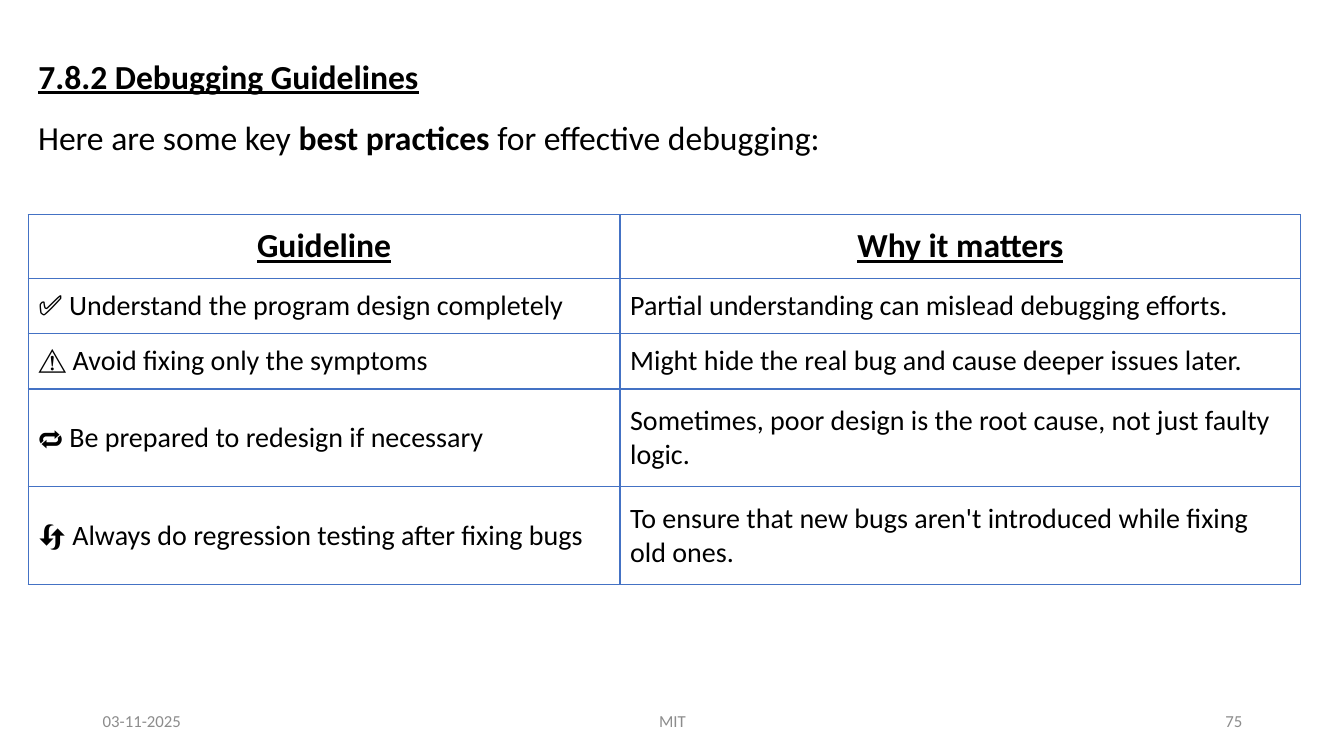
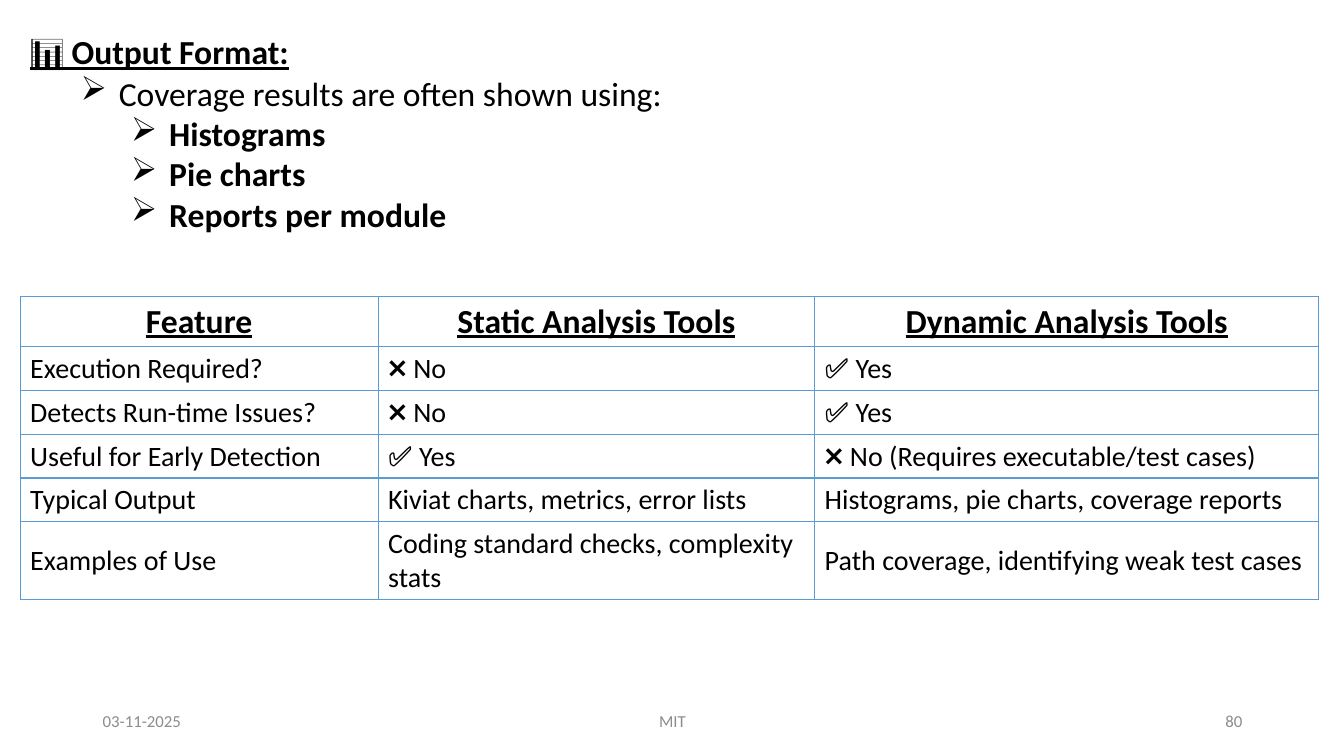
from dataclasses import dataclass

from pptx import Presentation
from pptx.dml.color import RGBColor
from pptx.enum.text import MSO_ANCHOR, MSO_AUTO_SIZE, PP_ALIGN
from pptx.oxml.xmlchemy import OxmlElement
from pptx.slide import Slide
from pptx.util import Inches, Pt


@dataclass(frozen=True)
class Theme:
    """Colours, font and type sizes shared by the slides."""
    font: str = "Calibri"
    ink: str = "000000"
    muted: str = "8C8C8C"
    heading_size: int = 24
    cell_size: int = 20
    footer_size: int = 12


THEME = Theme()
INSET = 0.05
BULLET = "➢"
BULLET_HANGING = 0.38


@dataclass(frozen=True)
class Box:
    """A rectangle in inches."""
    left: float
    top: float
    width: float
    height: float

    def lengths(self) -> tuple:
        """Return the rectangle as lengths."""
        return tuple(Inches(side) for side in (self.left, self.top, self.width, self.height))


@dataclass(frozen=True)
class Phrase:
    """A stretch of text, bold or regular."""
    text: str
    bold: bool = False


@dataclass(frozen=True)
class Line:
    """A paragraph made of phrases, bulleted when its level is above zero."""
    phrases: tuple[Phrase, ...]
    level: int = 0


@dataclass(frozen=True)
class Grid:
    """A bordered table whose first row is the header."""
    left: float
    top: float
    border: str
    columns: tuple[float, ...]
    rows: tuple[float, ...]
    cells: tuple[tuple[str, ...], ...]


@dataclass(frozen=True)
class Page:
    """The content of one slide."""
    number: int
    title: str
    title_box: Box
    body_height: float
    spacing: float
    lines: tuple[Line, ...]
    grid: Grid


def apply(target: object, **values: object) -> None:
    """Set each named attribute on the target."""
    for name, value in values.items():
        setattr(target, name, value)


def write(paragraph, text: str, size: int, color: str = THEME.ink, **values: object) -> None:
    """Add a formatted run to a paragraph."""
    run = paragraph.add_run()
    run.text = text
    apply(run.font, name=THEME.font, size=Pt(size), **values)
    run.font.color.rgb = RGBColor.from_string(color)


def add_bullet(paragraph, level: int) -> None:
    """Give a paragraph a hanging arrow bullet."""
    paragraph.level = level
    properties = paragraph._p.get_or_add_pPr()
    properties.set("marL", str(Inches(0.38 + 0.5 * level)))
    properties.set("indent", str(-Inches(BULLET_HANGING)))
    bullet = OxmlElement("a:buChar")
    bullet.set("char", BULLET)
    properties.append(bullet)


def draw_title(slide: Slide, page: Page) -> None:
    """Move and format the title placeholder."""
    title = slide.shapes.title
    left, top, width, height = page.title_box.lengths()
    apply(title, left=left, top=top, width=width, height=height)
    apply(title.text_frame, word_wrap=True, auto_size=MSO_AUTO_SIZE.NONE,
          vertical_anchor=MSO_ANCHOR.TOP, margin_top=Inches(INSET), margin_bottom=0)
    paragraph = title.text_frame.paragraphs[0]
    apply(paragraph, alignment=PP_ALIGN.JUSTIFY, line_spacing=page.spacing)
    write(paragraph, page.title, THEME.heading_size, bold=True, underline=True)


def draw_body(slide: Slide, page: Page) -> None:
    """Draw the lines directly below the title."""
    title = page.title_box
    box = Box(title.left, title.top + title.height, title.width, page.body_height)
    frame = slide.shapes.add_textbox(*box.lengths()).text_frame
    apply(frame, word_wrap=True, auto_size=MSO_AUTO_SIZE.SHAPE_TO_FIT_TEXT, margin_top=0)
    for index, line in enumerate(page.lines):
        paragraph = frame.add_paragraph() if index else frame.paragraphs[0]
        apply(paragraph, alignment=PP_ALIGN.JUSTIFY, line_spacing=page.spacing)
        if line.level:
            add_bullet(paragraph, line.level)
        for phrase in line.phrases:
            write(paragraph, phrase.text, THEME.heading_size, bold=phrase.bold)


def add_borders(cell, color: str) -> None:
    """Outline a table cell on all four sides."""
    properties = cell._tc.get_or_add_tcPr()
    for side in ("lnL", "lnR", "lnT", "lnB"):
        line = OxmlElement(f"a:{side}")
        line.set("w", str(Pt(1)))
        fill = OxmlElement("a:solidFill")
        value = OxmlElement("a:srgbClr")
        value.set("val", color)
        fill.append(value)
        line.append(fill)
        properties.append(line)


def draw_grid(slide: Slide, grid: Grid) -> None:
    """Draw a table with an underlined header row."""
    box = Box(grid.left, grid.top, sum(grid.columns), sum(grid.rows))
    table = slide.shapes.add_table(len(grid.rows), len(grid.columns), *box.lengths()).table
    apply(table, first_row=False, horz_banding=False)
    for column, width in zip(table.columns, grid.columns):
        column.width = Inches(width)
    for row_index, (row, height) in enumerate(zip(table.rows, grid.rows)):
        row.height = Inches(height)
        header = row_index == 0
        for cell, text in zip(row.cells, grid.cells[row_index]):
            add_borders(cell, grid.border)
            cell.fill.background()
            cell.vertical_anchor = MSO_ANCHOR.MIDDLE
            paragraph = cell.text_frame.paragraphs[0]
            paragraph.alignment = PP_ALIGN.CENTER if header else PP_ALIGN.LEFT
            size = THEME.heading_size if header else THEME.cell_size
            write(paragraph, text, size, bold=header, underline=header)


def draw_footer(slide: Slide, number: int) -> None:
    """Draw the date, the institution and the page number."""
    for text, left, width, alignment in (
        ("03-11-2025", 0.92, 3, PP_ALIGN.LEFT),
        ("MIT", 4.42, 4.5, PP_ALIGN.CENTER),
        (str(number), 9.42, 3, PP_ALIGN.RIGHT),
    ):
        frame = slide.shapes.add_textbox(*Box(left, 6.95, width, 0.4).lengths()).text_frame
        apply(frame, word_wrap=True, vertical_anchor=MSO_ANCHOR.MIDDLE)
        frame.paragraphs[0].alignment = alignment
        write(frame.paragraphs[0], text, THEME.footer_size, THEME.muted)


PAGES = (
    Page(
        75, "7.8.2 Debugging Guidelines", Box(0.28, 0.3, 12.83, 0.66), 0.66, 1.5,
        (Line((Phrase("Here are some key "), Phrase("best practices", True),
               Phrase(" for effective debugging:"))),),
        Grid(0.28, 2.13, "4472C4", (5.87, 6.75), (0.63, 0.55, 0.55, 0.97, 0.97), (
            ("Guideline", "Why it matters"),
            ("✅ Understand the program design completely",
             "Partial understanding can mislead debugging efforts."),
            ("⚠️ Avoid fixing only the symptoms",
             "Might hide the real bug and cause deeper issues later."),
            ("🔁 Be prepared to redesign if necessary",
             "Sometimes, poor design is the root cause, not just faulty logic."),
            ("🔄 Always do regression testing after fixing bugs",
             "To ensure that new bugs aren't introduced while fixing old ones."),
        )),
    ),
    Page(
        80, "📊 Output Format:", Box(0.2, 0.26, 12.88, 0.46), 1.66, 1.0,
        (Line((Phrase("Coverage results are often shown using:"),), 1),
         *(Line((Phrase(text, True),), 2)
           for text in ("Histograms", "Pie charts", "Reports per module"))),
        Grid(0.2, 2.94, "5B9BD5", (3.55, 4.33, 5), (0.5, *[0.43] * 4, 0.77), (
            ("Feature", "Static Analysis Tools", "Dynamic Analysis Tools"),
            ("Execution Required?", "❌ No", "✅ Yes"),
            ("Detects Run-time Issues?", "❌ No", "✅ Yes"),
            ("Useful for Early Detection", "✅ Yes", "❌ No (Requires executable/test cases)"),
            ("Typical Output", "Kiviat charts, metrics, error lists",
             "Histograms, pie charts, coverage reports"),
            ("Examples of Use", "Coding standard checks, complexity stats",
             "Path coverage, identifying weak test cases"),
        )),
    ),
)


def main() -> None:
    """Build and save the presentation."""
    presentation = Presentation()
    apply(presentation, slide_width=Inches(13.33), slide_height=Inches(7.5))
    for page in PAGES:
        slide = presentation.slides.add_slide(presentation.slide_layouts[5])
        draw_title(slide, page)
        draw_body(slide, page)
        draw_grid(slide, page.grid)
        draw_footer(slide, page.number)
    presentation.save("out.pptx")


if __name__ == "__main__":
    main()
